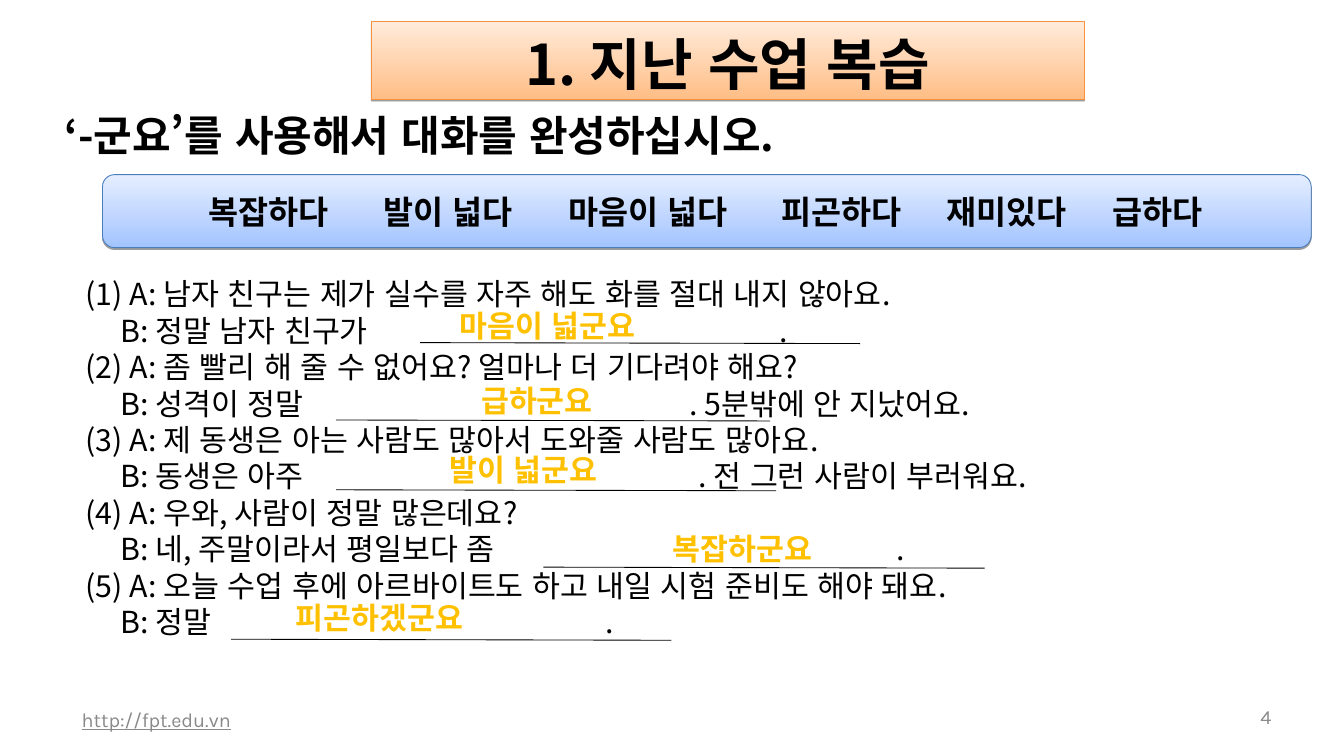
from dataclasses import dataclass

from lxml.etree import SubElement
from pptx import Presentation
from pptx.dml.color import RGBColor
from pptx.enum.lang import MSO_LANGUAGE_ID
from pptx.enum.shapes import MSO_CONNECTOR, MSO_SHAPE
from pptx.enum.text import MSO_ANCHOR, MSO_AUTO_SIZE, PP_ALIGN
from pptx.oxml.ns import qn
from pptx.util import Cm, Pt


@dataclass(frozen=True)
class Theme:
    text_font: str = "Noto Sans CJK KR"
    footer_font: str = "Karla"
    black: str = "000000"
    answer: str = "FFC000"
    grey: str = "898989"
    orange: tuple = ("FFBE86", "FFEBDB", "F69240")
    blue: tuple = ("A3C4FF", "E5EEFF", "4A7EBB")
    title_size: int = 48
    heading_size: int = 36
    bank_size: int = 28
    body_size: int = 26
    footer_size: int = 17
    hairline: float = 0.75
    leading: float = 1.2


T = Theme()

WORDS = ["복잡하다", "발이 넓다", "마음이 넓다", "피곤하다", "재미있다", "급하다"]
WORD_STOPS = [2.85, 8.15, 13.74, 20.18, 25.17, 30.19]
REPLY_INDENT = 1.05

# question, reply before the blank, reply after it, tab stop after the blank
DIALOGUES = [
    ("남자 친구는 제가 실수를 자주 해도 화를 절대 내지 않아요.", "정말 남자 친구가", ".", 20.97),
    ("좀 빨리 해 줄 수 없어요? 얼마나 더 기다려야 해요?", "성격이 정말", ". 5분밖에 안 지났어요.", 18.25),
    ("제 동생은 아는 사람도 많아서 도와줄 사람도 많아요.", "동생은 아주", ". 전 그런 사람이 부러워요.", 18.53),
    ("우와, 사람이 정말 많은데요?", "네, 주말이라서 평일보다 좀", ".", 24.51),
    ("오늘 수업 후에 아르바이트도 하고 내일 시험 준비도 해야 돼요.", "정말", ".", 15.71),
]

# answer, its left and top, then left, top and length of its line
ANSWERS = [
    ("마음이 넓군요", 13.64, 9.04, 12.7, 10.36, 13.31),
    ("급하군요", 14.3, 11.3, 10.16, 12.7, 13.13),
    ("발이 넓군요", 13.34, 13.39, 10.16, 14.81, 13.31),
    ("복잡하군요", 20.09, 15.77, 16.43, 17.15, 13.34),
    ("피곤하겠군요", 8.69, 17.86, 6.99, 19.33, 13.31),
]


def write(p, text, size=T.body_size, font=T.text_font, color=T.black, bold=False,
          underline=False, align=PP_ALIGN.LEFT, stops=(), plain=False, exact=True):
    """Fill a paragraph; stops are tab positions in cm, plain clears a bullet."""
    pPr = p._p.get_or_add_pPr()
    if plain:
        pPr.set("marL", "0")
        pPr.set("indent", "0")
        SubElement(pPr, qn("a:buNone"))
    if stops:
        tabs = SubElement(pPr, qn("a:tabLst"))
        for stop in stops:
            SubElement(tabs, qn("a:tab"), pos=str(int(Cm(stop))), algn="l")
    p.alignment = align
    p.space_before = p.space_after = Pt(0)
    if exact:
        p.line_spacing = Pt(size * T.leading)
    r = p.add_run()
    r.text = text
    f = r.font
    f.size, f.name, f.bold, f.underline = Pt(size), font, bold, underline
    f.language_id = MSO_LANGUAGE_ID.KOREAN
    f.color.rgb = RGBColor.from_string(color)
    SubElement(r._r.get_or_add_rPr(), qn("a:ea"), typeface=font)


class Slide:
    def __init__(self, prs):
        self.s = prs.slides.add_slide(prs.slide_layouts[1])

    def frame(self, sp, inset=(0.25, 0.13), anchor=MSO_ANCHOR.TOP):
        tf = sp.text_frame
        tf.auto_size = MSO_AUTO_SIZE.NONE
        tf.word_wrap = True
        tf.vertical_anchor = anchor
        tf.margin_left = tf.margin_right = Cm(inset[0])
        tf.margin_top = tf.margin_bottom = Cm(inset[1])
        return tf

    def place(self, sp, box):
        sp.left, sp.top, sp.width, sp.height = (Cm(v) for v in box)

    def panel(self, sp, colors):
        """Give a shape a vertical gradient, an outline and a soft shadow."""
        bottom, top, edge = colors
        sp.fill.gradient()
        sp.fill.gradient_angle = 90
        for stop, color, pos in zip(sp.fill.gradient_stops, (bottom, top), (0, 1)):
            stop.color.rgb = RGBColor.from_string(color)
            stop.position = pos
        sp.line.color.rgb = RGBColor.from_string(edge)
        sp.line.width = Pt(T.hairline)
        effects = SubElement(sp._element.spPr, qn("a:effectLst"))
        shadow = SubElement(effects, qn("a:outerShdw"), blurRad="0", dist=str(int(Pt(1.6))),
                            dir="5400000", rotWithShape="0")
        clr = SubElement(shadow, qn("a:srgbClr"), val=T.black)
        SubElement(clr, qn("a:alpha"), val="38000")

    def title(self, text, box):
        sp = self.s.shapes.title
        self.place(sp, box)
        self.panel(sp, T.orange)
        tf = self.frame(sp, (0.25, 0.23))
        write(tf.paragraphs[0], text, size=T.title_size, bold=True, align=PP_ALIGN.CENTER)

    def task(self, text, box):
        sp = self.s.placeholders[1]
        self.place(sp, box)
        write(self.frame(sp).paragraphs[0], text, size=T.heading_size, bold=True, plain=True)

    def word_bank(self, words, stops, box):
        sp = self.s.shapes.add_shape(MSO_SHAPE.ROUNDED_RECTANGLE, *(Cm(v) for v in box))
        self.panel(sp, T.blue)
        tf = self.frame(sp, anchor=MSO_ANCHOR.MIDDLE)
        write(tf.paragraphs[0], "\t" + "\t".join(words), size=T.bank_size, bold=True, stops=stops)

    def dialogues(self, items, box):
        tf = self.frame(self.s.shapes.add_textbox(*(Cm(v) for v in box)))
        for i, (question, before, after, stop) in enumerate(items, 1):
            p = tf.paragraphs[0] if i == 1 else tf.add_paragraph()
            write(p, f"({i}) A: {question}")
            write(tf.add_paragraph(), f"\tB: {before}\t{after}", stops=(REPLY_INDENT, stop))

    def text(self, text, box, inset=(0.25, 0.25), anchor=MSO_ANCHOR.TOP, **fmt):
        sp = self.s.shapes.add_textbox(*(Cm(v) for v in box))
        write(self.frame(sp, inset, anchor).paragraphs[0], text, **fmt)

    def blank(self, left, top, length):
        c = self.s.shapes.add_connector(MSO_CONNECTOR.STRAIGHT, Cm(left), Cm(top),
                                        Cm(left + length), Cm(top + 0.03))
        c.line.color.rgb = RGBColor.from_string(T.black)
        c.line.width = Pt(T.hairline)
        SubElement(c._element.spPr, qn("a:effectLst"))


def main():
    prs = Presentation()
    prs.slide_width, prs.slide_height = Cm(40.64), Cm(22.86)
    slide = Slide(prs)
    slide.title("1. 지난 수업 복습", (11.23, 0.66, 21.56, 2.34))
    slide.task("‘-군요’를 사용해서 대화를 완성하십시오.", (1.7, 3.18, 26.04, 1.8))
    slide.word_bank(WORDS, WORD_STOPS, (3.1, 5.28, 36.55, 2.21))
    slide.dialogues(DIALOGUES, (2.34, 8.2, 37.52, 11.3))
    for answer, left, top, *line in ANSWERS:
        slide.blank(*line)
        slide.text(answer, (left, top, 6.78, 1.63), color=T.answer, bold=True)
    footer = dict(inset=(0.36, 0.18), anchor=MSO_ANCHOR.MIDDLE, size=T.footer_size,
                  font=T.footer_font, color=T.grey, exact=False)
    slide.text("http://fpt.edu.vn", (2.11, 21.16, 12.88, 1.22), underline=True, **footer)
    slide.text("4", (36.83, 21.16, 1.98, 1.04), align=PP_ALIGN.RIGHT, **footer)
    prs.save("out.pptx")


if __name__ == "__main__":
    main()
